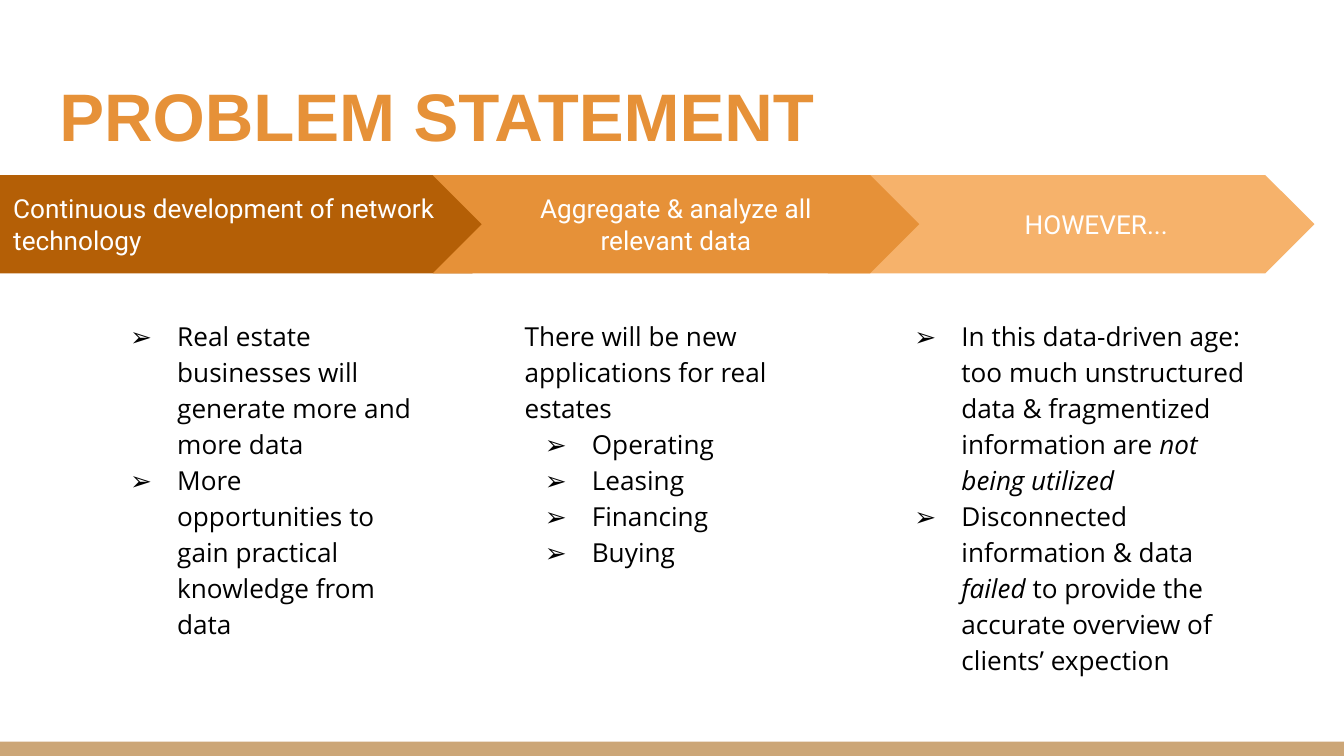
import pptx
import pptx.util
import pptx.dml.color
import pptx.enum.shapes
import pptx.enum.text
import lxml.etree

Inches, Pt = pptx.util.Inches, pptx.util.Pt
Kind = pptx.enum.shapes.MSO_SHAPE
Anchor = pptx.enum.text.MSO_ANCHOR
Align = pptx.enum.text.PP_ALIGN

HUES = {
    "dark": "B45F06", "mid": "E69138", "light": "F6B26B",
    "base": "CCA677", "text": "000000", "white": "FFFFFF",
}
BODY = "Open Sans"

deck = pptx.Presentation()
deck.slide_width = Inches(10)
deck.slide_height = deck.slide_width * 9 // 16
slide = deck.slides.add_slide(deck.slide_layouts[5])


def place(left, top, width, height):
    """Turn percent shares of the slide into lengths."""
    wide, high = deck.slide_width / 100, deck.slide_height / 100
    return [round(n) for n in (left * wide, top * high, width * wide, height * high)]


def style(para, size, face, hue, bold=None):
    font = para.font
    font.size, font.name, font.bold = Pt(size), face, bold
    font.color.rgb = pptx.dml.color.RGBColor.from_string(HUES[hue])


# Title
title = slide.shapes.title
title.left, title.top, title.width, title.height = place(3.41, 6.2, 93.18, 16.1)
frames = [title.text_frame]
title.text_frame.text = "PROBLEM STATEMENT"
title.text_frame.auto_size = pptx.enum.text.MSO_AUTO_SIZE.NONE
title.text_frame.vertical_anchor = Anchor.BOTTOM
head = title.text_frame.paragraphs[0]
head.alignment = Align.LEFT
style(head, 36, "Arial", "mid", True)

# Base bar and arrows, from back to front: the later ones lie on top
START, STEP = 32.2, 29.4
bars = [(Kind.RECTANGLE, place(0, 98.1, 100, 1.9), "base", None)]
arrows = [
    (Kind.CHEVRON, START + STEP, 36.2, "light", Align.LEFT, 1, "HOWEVER..."),
    (Kind.PENTAGON, 0, 38.8, "dark", Align.LEFT, 0,
     "Continuous development of network technology"),
    (Kind.CHEVRON, START, 36.2, "mid", Align.CENTER, 0,
     "Aggregate & analyze all relevant data"),
]
for kind, left, width, hue, *label in arrows:
    bars.append((kind, place(left, 23.15, width, 13), hue, label))

for kind, spot, hue, label in bars:
    shape = slide.shapes.add_shape(kind, *spot)
    shape.shadow.inherit = False
    shape.fill.solid()
    shape.fill.fore_color.rgb = pptx.dml.color.RGBColor.from_string(HUES[hue])
    shape.line.fill.background()
    if label:
        align, indent, words = label
        frame = shape.text_frame
        frame.text = words
        frame.vertical_anchor = Anchor.MIDDLE
        frames.append(frame)
        para = frame.paragraphs[0]
        para.alignment = align
        para._p.get_or_add_pPr().set("marL", str(Inches(indent)))
        style(para, 14, "Roboto", "white")

# Columns of text: "➢" opens a bullet, "*" turns italics on and off
columns = [
    (65.55, 28.5, [
        "➢In this data-driven age: too much unstructured data & fragmentized "
        "information are *not being utilized*",
        "➢Disconnected information & data *failed *to provide the accurate "
        "overview of clients’ expection",
    ]),
    (7.2, 24.5, [
        "➢Real estate businesses will generate more and more data",
        "➢More opportunities to gain practical knowledge from data",
    ]),
    (38.05, 24.5, [
        "There will be new applications for real estates",
        "➢Operating", "➢Leasing", "➢Financing", "➢Buying",
    ]),
]
for left, width, lines in columns:
    frame = slide.shapes.add_textbox(*place(left, 40, width, 50.9)).text_frame
    frames.append(frame)
    for row, line in enumerate(lines):
        para = frame.add_paragraph() if row else frame.paragraphs[0]
        para.line_spacing = 1.15
        style(para, 14, BODY, "text")
        for turn, words in enumerate(line.lstrip("➢").split("*")):
            if words:
                run = para.add_run()
                run.text = words
                if turn % 2:
                    run.font.italic = True
        if line.startswith("➢"):
            props = para._p.get_or_add_pPr()
            props.set("marL", str(Inches(0.5)))
            props.set("indent", str(Inches(-0.35)))
            space = "{" + props.nsmap["a"] + "}"
            color = lxml.etree.SubElement(props, space + "buClr")
            lxml.etree.SubElement(color, space + "srgbClr", val=HUES["text"])
            lxml.etree.SubElement(props, space + "buFont", typeface=BODY)
            lxml.etree.SubElement(props, space + "buChar", char="➢")
            # The schema wants the default run style after the bullet
            props.append(props.find(space + "defRPr"))

for frame in frames:
    frame.word_wrap = True
    frame.margin_left = frame.margin_right = Inches(0.1)
    frame.margin_top = frame.margin_bottom = Inches(0.1)

deck.save("out.pptx")
